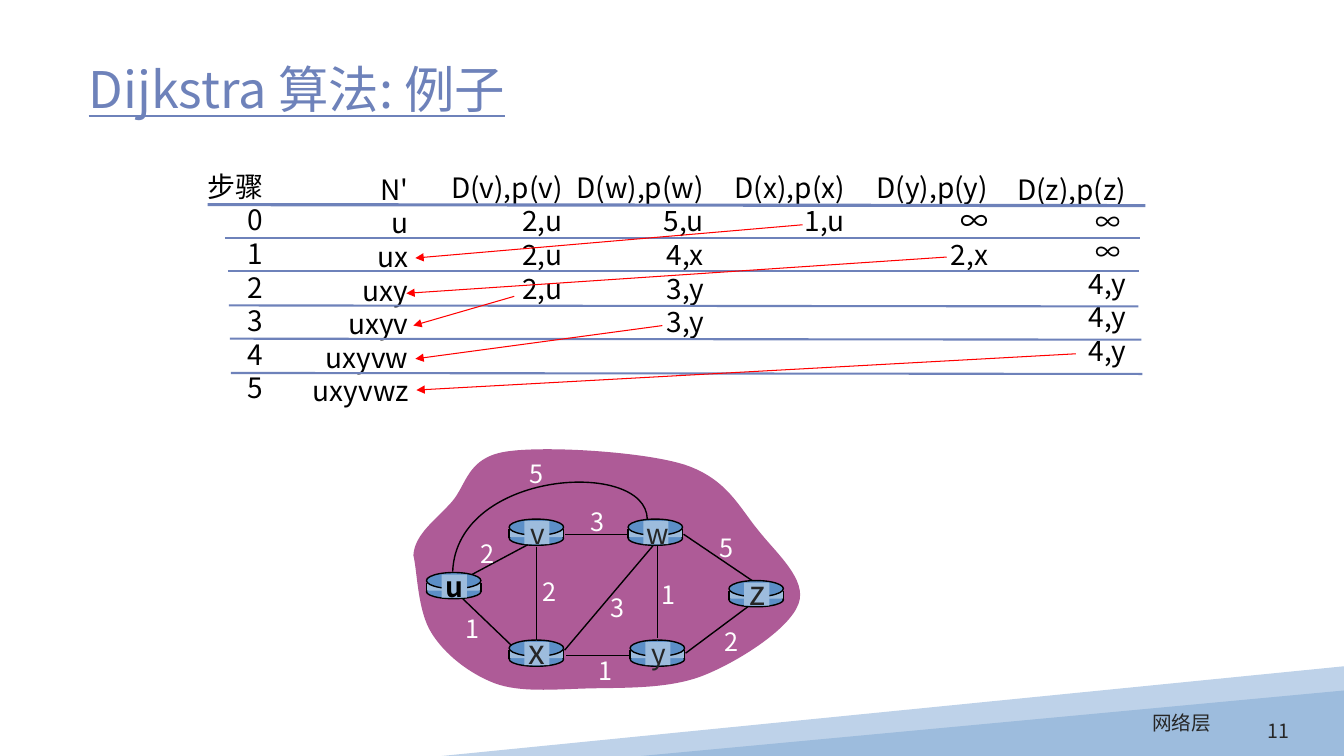
from dataclasses import dataclass

from lxml import etree
from pptx import Presentation
from pptx.dml.color import RGBColor
from pptx.enum.shapes import MSO_CONNECTOR, MSO_SHAPE
from pptx.enum.text import MSO_ANCHOR, MSO_AUTO_SIZE, PP_ALIGN
from pptx.oxml.ns import qn
from pptx.util import Inches, Pt

RECT, OVAL, WEDGE = MSO_SHAPE.RECTANGLE, MSO_SHAPE.OVAL, MSO_SHAPE.ISOSCELES_TRIANGLE
LINE = MSO_CONNECTOR.STRAIGHT
LEFT, MID, RIGHT = PP_ALIGN.LEFT, PP_ALIGN.CENTER, PP_ALIGN.RIGHT
TOP, CENTER = MSO_ANCHOR.TOP, MSO_ANCHOR.MIDDLE


@dataclass
class Theme:
    font: str = "Noto Sans CJK SC"
    head: int = 36
    large: int = 24
    body: int = 20
    cost: int = 18
    foot: int = 14
    pitch: float = 1.2
    ink: str = "000000"
    grey: str = "262626"
    white: str = "FFFFFF"
    slate: str = "6E82BA"
    red: str = "FF0000"
    plum: str = "AE5B97"
    blue: str = "5C8FC7"
    sky: str = "9DBCDD"
    pale: str = "BED2E9"


theme = Theme()
deck = Presentation()
deck.slide_width, deck.slide_height = Inches(13.33), Inches(7.5)
slide = deck.slides.add_slide(deck.slide_layouts[5])
shapes = slide.shapes


def write(text, at, size=theme.body, color=theme.ink, align=MID, anchor=TOP,
          bold=False, under=False, small=(), box=None):
    """Write one paragraph per line; rows listed in small take the cost size."""
    left, top, width, height = (Inches(n) for n in at)
    box = box or shapes.add_textbox(left, top, width, height)
    box.left, box.top, box.width, box.height = left, top, width, height
    frame = box.text_frame
    frame.auto_size = MSO_AUTO_SIZE.NONE
    frame.word_wrap = True
    frame.vertical_anchor = anchor
    frame.text = text
    for row, para in enumerate(frame.paragraphs):
        points = theme.cost if row in small else size
        para.alignment = align
        para.line_spacing = Pt(points * theme.pitch)
        font = para.runs[0].font
        font.name, font.size = theme.font, Pt(points)
        font.bold, font.underline = bold, under
        font.color.rgb = RGBColor.from_string(color)
        east = etree.SubElement(para.runs[0]._r.rPr, qn("a:ea"))
        east.set("typeface", theme.font)


def paint(item, fill=None, line=None, width=1, arrow=False):
    """Set fill and line of a shape or connector and take off its shadow."""
    if fill:
        item.fill.solid()
        item.fill.fore_color.rgb = RGBColor.from_string(fill)
    elif hasattr(item, "fill"):
        item.fill.background()
    if line:
        item.line.color.rgb = RGBColor.from_string(line)
        item.line.width = Pt(width)
    else:
        item.line.fill.background()
    if arrow:
        etree.SubElement(item.line._get_or_add_ln(), qn("a:tailEnd")).set("type", "triangle")
    etree.SubElement(item._element.spPr, qn("a:effectLst"))


# Corner bands
band = shapes.build_freeform(Inches(13.33), Inches(6.61))
band.add_line_segments([(Inches(x), Inches(y)) for x, y in
                        ((13.33, 7.44), (8.97, 7.5), (4.38, 7.5))])
paint(band.convert_to_shape(), theme.pale)
wedge = shapes.add_shape(WEDGE, Inches(6.36), Inches(6.85), Inches(6.97), Inches(0.65))
wedge.adjustments[0] = 1
paint(wedge, theme.sky)

# Title and footer
write("Dijkstra 算法: 例子", (0.78, 0.25, 11.33, 1.25), size=theme.head,
      color=theme.slate, align=LEFT, anchor=CENTER, under=True, box=shapes.title)
write("11", (11.9, 7, 0.99, 0.5), size=theme.foot, color=theme.grey,
      align=RIGHT, anchor=CENTER)
write("网络层", (7.89, 7, 4.22, 0.5), size=theme.foot, color=theme.grey, align=RIGHT)

# Step columns: left, top, width, rows
columns = [
    (1.95, 1.63, 0.76, ["步骤", "0", "1", "2", "3", "4", "5"]),
    (2.97, 1.66, 1.18, ["N'", "u", "ux", "uxy", "uxyv", "uxyvw", "uxyvwz"]),
    (4.34, 1.64, 1.34, ["D(v),p(v)", "2,u", "2,u", "2,u"]),
    (5.58, 1.64, 1.5, ["D(w),p(w)", "5,u", "4,x", "3,y", "3,y"]),
    (7.15, 1.64, 1.33, ["D(x),p(x)", "1,u"]),
    (8.56, 1.64, 1.34, ["D(y),p(y)", "∞", "2,x"]),
    (9.93, 1.66, 1.34, ["D(z),p(z)", "∞ ", "∞ ", "4,y", "4,y", "4,y"]),
]
for left, top, width, rows in columns:
    small = [n for n, row in enumerate(rows) if row == "∞ "]
    write("\n".join(rows), (left, top, width, 0.1 + 0.34 * len(rows)),
          align=RIGHT, small=small)

# Network area and the arc from w to u: start, then three points for each curve
area = [
    (4.1, 5.51), (4.11, 5.3), (4.33, 5.15), (4.48, 4.98),
    (4.63, 4.81), (4.63, 4.54), (5.02, 4.48), (5.4, 4.42), (6.38, 4.48), (6.79, 4.61),
    (7.21, 4.75), (7.33, 5.03), (7.52, 5.26), (7.7, 5.49), (8.01, 5.75), (7.92, 5.99),
    (7.83, 6.24), (7.33, 6.56), (6.98, 6.7), (6.63, 6.84), (6.17, 6.82), (5.82, 6.83),
    (5.48, 6.84), (5.16, 6.87), (4.91, 6.78), (4.65, 6.68), (4.41, 6.49), (4.28, 6.28),
    (4.14, 6.06), (4.14, 5.67), (4.1, 5.51),
]
arc = [(6.42, 5.15), (6.41, 4.55), (4.53, 4.66), (4.49, 5.67)]
for points, fill, line in ((area, theme.plum, None), (arc, None, theme.ink)):
    spots = [(Inches(x), Inches(y)) for x, y in points]
    path = shapes.build_freeform(*spots[0])
    path.add_line_segments(spots[1:], close=bool(fill))
    curve = path.convert_to_shape()
    steps = list(curve._element.iter(qn("a:lnTo")))
    for n in range(0, len(steps), 3):
        bend = etree.Element(qn("a:cubicBezTo"))
        steps[n].addprevious(bend)
        for step in steps[n:n + 3]:
            bend.append(step[0])
            step.getparent().remove(step)
    paint(curve, fill, line)

# Straight lines: header rule, row rules, edges, arrows
header = [(2.06, 2.03, 11.36, 2.04)]
rules = [(2.23, 2.36, 11.31, 2.36), (2.26, 2.69, 11.3, 2.69), (2.27, 3.03, 11.29, 3.04),
         (2.28, 3.36, 11.32, 3.37), (2.29, 3.7, 11.33, 3.71)]
edges = [(4.68, 5.7, 5.28, 5.38), (6.52, 5.42, 6.52, 6.33), (5.32, 5.43, 5.32, 6.36),
         (5.6, 6.45, 6.48, 5.41), (6.8, 6.48, 7.43, 6.01), (6.25, 6.5, 5.61, 6.5),
         (5.07, 6.4, 4.59, 5.94), (6.24, 5.3, 5.6, 5.3), (7.46, 5.76, 6.78, 5.3)]
arrows = [(7.96, 2.23, 4.12, 2.56), (9.39, 2.55, 4.03, 2.91), (5.1, 2.94, 4.1, 3.23),
          (6.57, 3.23, 4.12, 3.56), (10.67, 3.51, 4.13, 3.87)]
for group, color, width in ((header, theme.slate, 2.25), (rules, theme.slate, 1.5),
                            (edges, theme.ink, 1), (arrows, theme.red, 0.75)):
    for ends in group:
        paint(shapes.add_connector(LINE, *(Inches(n) for n in ends)),
              line=color, width=width, arrow=group is arrows)

# Routers: name, left, top, type size
routers = [("u", 4.23, 5.68, theme.body), ("x", 5.05, 6.35, theme.large),
           ("v", 5.05, 5.15, theme.body), ("w", 6.23, 5.15, theme.body),
           ("y", 6.25, 6.35, theme.body), ("z", 7.23, 5.76, theme.large)]
# Parts: shape, offset, size, fill, line
base = (OVAL, 0, 0.12, 0.54, 0.14, theme.blue, theme.ink)
side = (RECT, 0, 0.1, 0.54, 0.08, theme.sky, None)
lid = (OVAL, 0, 0, 0.54, 0.16, theme.blue, theme.ink)
plate = (RECT, 0.15, 0.02, 0.25, 0.23, theme.sky, None)
for name, x, y, size in routers:
    for kind, dx, dy, width, height, fill, line in (base, side, lid, plate):
        part = shapes.add_shape(kind, Inches(x + dx), Inches(y + dy),
                                Inches(width), Inches(height))
        paint(part, fill, line)
    for wall in (x, x + 0.54):
        paint(shapes.add_connector(LINE, Inches(wall), Inches(y + 0.1),
                                   Inches(wall), Inches(y + 0.19)), line=theme.ink)
    first = name == "u"
    write(name, (x + 0.08, y + 0.22 - 0.015 * size, 0.4, 0.44), size=size,
          color=theme.ink if first else theme.grey, bold=first)

# Edge costs
costs = [("2", 4.66, 5.29), ("2", 5.27, 5.67), ("1", 4.51, 6.04), ("3", 5.94, 5.83),
         ("1", 5.83, 6.45), ("1", 6.45, 5.7), ("2", 7.08, 6.16), ("5", 7.03, 5.23),
         ("3", 5.75, 4.97), ("5", 5.14, 4.5)]
for cost, x, y in costs:
    write(cost, (x, y, 0.36, 0.4), size=theme.cost, color=theme.white)

deck.save("out.pptx")
